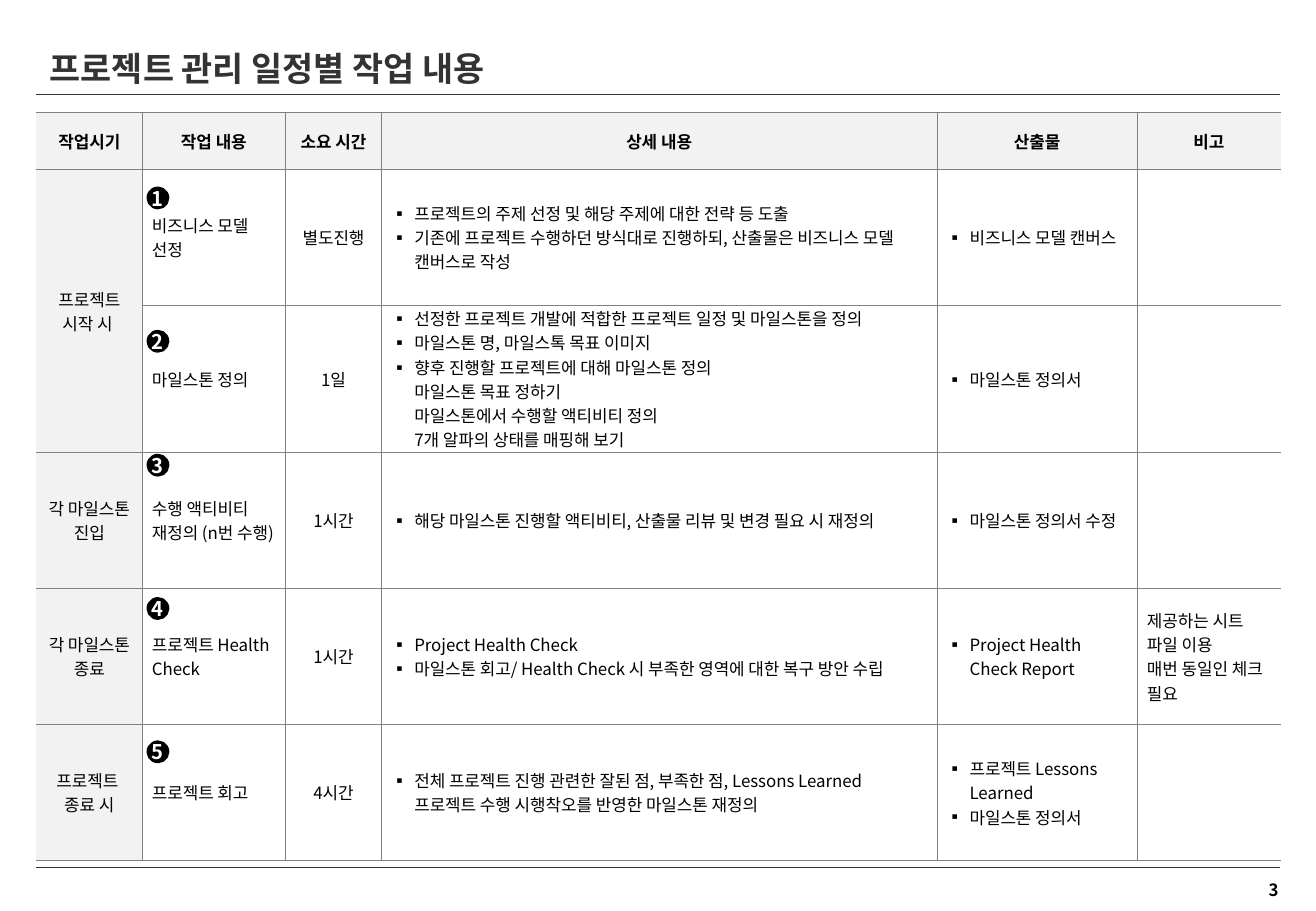
from lxml import etree
from pptx import Presentation
from pptx.dml.color import RGBColor
from pptx.enum.shapes import MSO_CONNECTOR, MSO_SHAPE
from pptx.enum.text import MSO_ANCHOR, MSO_AUTO_SIZE, PP_ALIGN
from pptx.oxml.ns import qn
from pptx.util import Inches, Pt

LEFT, CENTER, RIGHT = PP_ALIGN.LEFT, PP_ALIGN.CENTER, PP_ALIGN.RIGHT
MIDDLE = MSO_ANCHOR.MIDDLE
FONT = "Noto Sans CJK KR"
COLORS = {"ink": "000000", "title": "333333", "grid": "808080", "shade": "F2F2F2", "white": "FFFFFF"}

TITLE = "프로젝트 관리 일정별 작업 내용"
PAGE_NUMBER = "3"
HEADERS = ["작업시기", "작업 내용", "소요 시간", "상세 내용", "산출물", "비고"]
TASKS = [
    [["프로젝트", "시작 시 "], ["비즈니스 모델 선정"], ["별도진행"],
     ["프로젝트의 주제 선정 및 해당 주제에 대한 전략 등 도출",
      "기존에 프로젝트 수행하던 방식대로 진행하되, 산출물은 비즈니스 모델 캔버스로 작성"],
     ["비즈니스 모델 캔버스"], []],
    [[], ["마일스톤 정의"], ["1일"],
     ["선정한 프로젝트 개발에 적합한 프로젝트 일정 및 마일스톤을 정의",
      "마일스톤 명, 마일스톡 목표 이미지",
      "향후 진행할 프로젝트에 대해 마일스톤 정의\n마일스톤 목표 정하기\n"
      "마일스톤에서 수행할 액티비티 정의\n7개 알파의 상태를 매핑해 보기"],
     ["마일스톤 정의서"], []],
    [["각 마일스톤", "진입"], ["수행 액티비티 재정의 (n번 수행)"], ["1시간"],
     ["해당 마일스톤 진행할 액티비티, 산출물 리뷰 및 변경 필요 시 재정의"],
     ["마일스톤 정의서 수정"], []],
    [["각 마일스톤 종료"], ["프로젝트 Health Check"], ["1시간"],
     ["Project Health Check", "마일스톤 회고/ Health Check 시 부족한 영역에 대한 복구 방안 수립"],
     ["Project Health Check Report"], ["제공하는 시트 파일 이용\n매번 동일인 체크 필요"]],
    [["프로젝트 ", "종료 시"], ["프로젝트 회고"], ["4시간"],
     ["전체 프로젝트 진행 관련한 잘된 점, 부족한 점, Lessons Learned\n"
      "프로젝트 수행 시행착오를 반영한 마일스톤 재정의"],
     ["프로젝트 Lessons Learned", "마일스톤 정의서"], []],
]

WIDTH, HEIGHT = 10.83, 7.5
MARGIN = 0.3
COLUMNS = [0.87, 1.18, 0.79, 4.57, 1.65, 1.18]
ROWS = [0.47] + [1.12] * len(TASKS)
CENTERED, BULLETED = (0, 2), (3, 4)
TABLE_TOP = 0.92
RULES = [0.78, 7.14]
BADGE_TOPS = [1.55, 2.73, 3.75, 4.93, 6.11]
BADGE_LEFT, BADGE_SIZE = MARGIN + COLUMNS[0] + 0.05, 0.16


def rgb(name):
    return RGBColor.from_string(COLORS[name])


def write(para, text, size, color="ink", bold=False, align=LEFT):
    para.text = text
    para.alignment = align
    for font in [para.font, *(span.font for span in para.runs)]:
        font.size, font.bold, font.name = Pt(size), bold, FONT
        font.color.rgb = rgb(color)
    for latin in list(para._p.iter(qn("a:latin"))):
        latin.addnext(etree.Element(qn("a:ea"), typeface=FONT))


def add_bullet(para):
    props = para._p.get_or_add_pPr()
    props.set("marL", str(Inches(0.19)))
    props.set("indent", str(Inches(-0.19)))
    etree.SubElement(props, qn("a:buFont"), typeface=FONT)
    etree.SubElement(props, qn("a:buChar"), char="▪")


def add_borders(cell, column):
    hidden = {0: "L", len(COLUMNS) - 1: "R"}.get(column)
    for side in "LRTB":
        line = etree.SubElement(cell._tc.get_or_add_tcPr(), qn(f"a:ln{side}"), w=str(Pt(0.25)))
        if side == hidden:
            etree.SubElement(line, qn("a:noFill"))
        else:
            fill = etree.SubElement(line, qn("a:solidFill"))
            etree.SubElement(fill, qn("a:srgbClr"), val=COLORS["grid"])


def fill_cell(cell, row, column, texts):
    cell.vertical_anchor = MIDDLE
    cell.margin_left = cell.margin_right = Inches(0.08)
    cell.margin_top, cell.margin_bottom = Inches(0.01), 0
    add_borders(cell, column)
    if row == 0 or column == 0:
        cell.fill.solid()
        cell.fill.fore_color.rgb = rgb("shade")
    else:
        cell.fill.background()
    align = CENTER if row == 0 or column in CENTERED else LEFT
    for index, text in enumerate(texts):
        frame = cell.text_frame
        para = frame.add_paragraph() if index else frame.paragraphs[0]
        if row and column in BULLETED:
            add_bullet(para)
        write(para, text, 10, bold=row == 0, align=align)


def add_schedule(page):
    content = [[[header] for header in HEADERS]] + TASKS
    frame = page.shapes.add_table(len(ROWS), len(COLUMNS), Inches(MARGIN), Inches(TABLE_TOP),
                                  Inches(sum(COLUMNS)), Inches(sum(ROWS)))
    table = frame.table
    table.first_row = table.horz_banding = False
    for column, width in enumerate(COLUMNS):
        table.columns[column].width = Inches(width)
    for row, height in enumerate(ROWS):
        table.rows[row].height = Inches(height)
        for column, texts in enumerate(content[row]):
            fill_cell(table.cell(row, column), row, column, texts)
    table.cell(1, 0).merge(table.cell(2, 0))


def add_rule(page, top):
    rule = page.shapes.add_connector(MSO_CONNECTOR.STRAIGHT, Inches(MARGIN), Inches(top),
                                     Inches(WIDTH - MARGIN), Inches(top))
    rule.line.color.rgb = rgb("title")
    rule.line.width = Pt(0.5)
    etree.SubElement(rule._element.spPr, qn("a:effectLst"))


def add_badge(page, number, top):
    badge = page.shapes.add_shape(MSO_SHAPE.OVAL, Inches(BADGE_LEFT), Inches(top),
                                  Inches(BADGE_SIZE), Inches(BADGE_SIZE))
    badge.shadow.inherit = False
    badge.fill.solid()
    badge.fill.fore_color.rgb = badge.line.color.rgb = rgb("ink")
    badge.line.width = Pt(2)
    frame = badge.text_frame
    frame.margin_left = frame.margin_right = frame.margin_top = frame.margin_bottom = 0
    frame.vertical_anchor = MIDDLE
    frame.word_wrap = False
    write(frame.paragraphs[0], str(number), 12, "white", True, CENTER)


def main():
    deck = Presentation()
    deck.slide_width, deck.slide_height = Inches(WIDTH), Inches(HEIGHT)
    page = deck.slides.add_slide(deck.slide_layouts[5])

    title = page.shapes.title
    title.left, title.top, title.width, title.height = map(Inches, (0.31, 0.41, 6.67, 0.3))
    title.text_frame.vertical_anchor = MIDDLE
    title.text_frame.auto_size = MSO_AUTO_SIZE.NONE
    write(title.text_frame.paragraphs[0], TITLE, 20, "title", True)

    for top in RULES:
        add_rule(page, top)
    add_schedule(page)
    for number, top in enumerate(BADGE_TOPS, 1):
        add_badge(page, number, top)

    box = page.shapes.add_textbox(*map(Inches, (10.23, 7.19, 0.39, 0.27)))
    box.text_frame.word_wrap = True
    write(box.text_frame.paragraphs[0], PAGE_NUMBER, 10, bold=True, align=RIGHT)
    deck.save("out.pptx")


if __name__ == "__main__":
    main()
